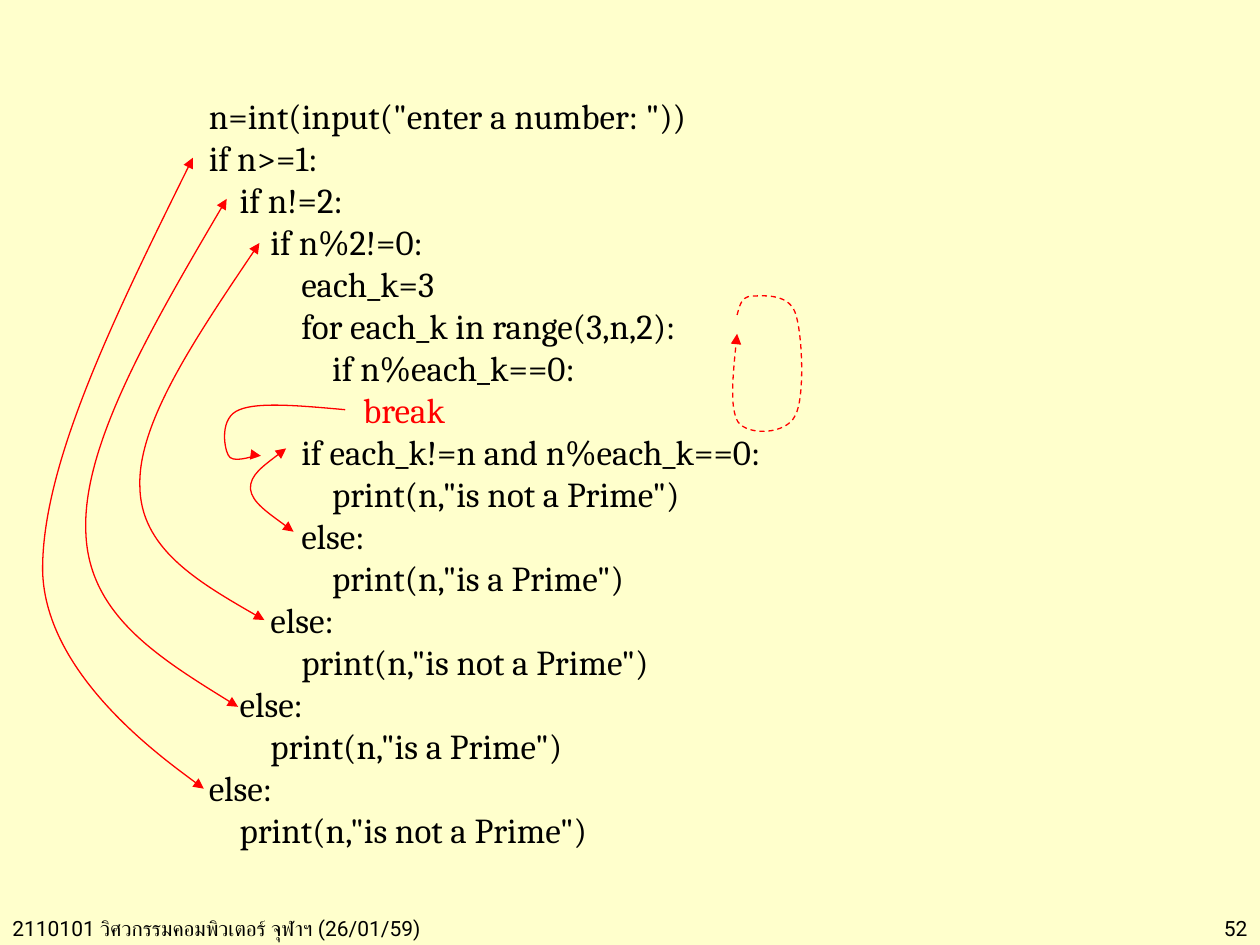
import pptx
import pptx.util
import pptx.dml.color
import pptx.enum.dml
import pptx.enum.text
import pptx.oxml
import pptx.oxml.ns
from dataclasses import dataclass

Cm, Pt = pptx.util.Cm, pptx.util.Pt
RGB = pptx.dml.color.RGBColor.from_string
ALIGN = pptx.enum.text.PP_ALIGN
qn = pptx.oxml.ns.qn


@dataclass(frozen=True)
class Theme:
    paper: str = "FFFFCC"
    ink: str = "000000"
    accent: str = "FF0000"
    code_font: str = "Cambria"
    footer_font: str = "Roboto"
    code_size: int = 20
    footer_size: int = 12
    line_width: float = 0.75


T = Theme()

# Content
CODE = '''n=int(input("enter a number: "))
if n>=1:
    if n!=2:
        if n%2!=0:
            each_k=3
            for each_k in range(3,n,2):
                if n%each_k==0:
                    break
            if each_k!=n and n%each_k==0:
                print(n,"is not a Prime")
            else:
                print(n,"is a Prime")
        else:
            print(n,"is not a Prime")
    else:
        print(n,"is a Prime")
else:
    print(n,"is not a Prime")'''.split("\n")
KEYWORD = "break"

# Footer: text, left, width, alignment
FOOTER = [
    ("2110101 วิศวกรรมคอมพิวเตอร์ จุฬาฯ (26/01/59)", 0, 9.9, ALIGN.LEFT),
    ("52", 21.9, 3.5, ALIGN.RIGHT),
]

# Bezier curves in cm: a start point, then three points per segment
IF_ELSE_PAIRS = [
    [(3.89, 3.18), (2.36, 6.27), (0.84, 9.37), (0.86, 11.51),
     (0.91, 13.64), (4.11, 15.9), (4.11, 15.9)],
    [(4.57, 4.01), (3.12, 6.48), (1.68, 8.94), (1.73, 10.67),
     (1.75, 12.37), (3.28, 13.31), (4.8, 14.25)],
    [(5.23, 4.9), (4.01, 6.71), (2.79, 8.51), (2.82, 9.78),
     (2.82, 11.05), (4.09, 11.79), (5.33, 12.5)],
    [(5.77, 9.04), (5.41, 9.32), (5.03, 9.58), (5.05, 9.86),
     (5.08, 10.13), (5.51, 10.41), (5.92, 10.72)],
]
LOOP = [(14.86, 6.35), (14.91, 6.17), (14.94, 5.99), (15.14, 5.97),
        (15.32, 5.97), (15.88, 5.89), (16.03, 6.3),
        (16.18, 6.71), (16.23, 8.03), (16.03, 8.38),
        (15.85, 8.76), (15.09, 8.79), (14.88, 8.51),
        (14.71, 8.23), (14.78, 7.49), (14.86, 6.73)]
BREAK_EXIT = [(6.96, 8.26), (6.07, 8.18), (5.21, 8.1), (4.83, 8.26),
              (4.42, 8.41), (4.52, 9.02), (4.6, 9.17),
              (4.67, 9.35), (5.16, 9.17), (5.26, 9.17),
              (5.38, 9.19), (5.31, 9.19), (5.26, 9.19)]


def add_box(s, left, top, width, height):
    tf = s.shapes.add_textbox(Cm(left), Cm(top), Cm(width), Cm(height)).text_frame
    tf.word_wrap = True
    return tf


def add_run(p, text, font, size, color):
    r = p.add_run()
    r.text = text
    r.font.name, r.font.size = font, Pt(size)
    r.font.color.rgb = RGB(color)


def add_curve(s, points, both_ends=False, dashed=False):
    points = [(Cm(x), Cm(y)) for x, y in points]
    builder = s.shapes.build_freeform(*points[0])
    builder.add_line_segments(points[1:], close=False)
    sp = builder.convert_to_shape()
    sp.shadow.inherit = False
    sp.fill.background()
    sp.line.color.rgb = RGB(T.accent)
    sp.line.width = Pt(T.line_width)
    if dashed:
        sp.line.dash_style = pptx.enum.dml.MSO_LINE.DASH

    # Turn every three straight segments into one cubic curve
    outline = sp._element.find(".//" + qn("a:path"))
    segments = outline.findall(qn("a:lnTo"))
    for i in range(0, len(segments), 3):
        curve = pptx.oxml.ns.qn("a:cubicBezTo")
        curve = outline.makeelement(curve, {})
        outline.append(curve)
        for segment in segments[i:i + 3]:
            curve.append(segment[0])
            outline.remove(segment)

    # Arrowheads
    ln = sp.line._get_or_add_ln()
    for end in ("a:headEnd", "a:tailEnd") if both_ends else ("a:tailEnd",):
        ln.append(ln.makeelement(qn(end), {"type": "triangle"}))


def main():
    prs = pptx.Presentation()
    prs.slide_width, prs.slide_height = Cm(25.4), Cm(19.05)
    s = prs.slides.add_slide(prs.slide_layouts[6])
    s.background.fill.solid()
    s.background.fill.fore_color.rgb = RGB(T.paper)

    # Footer
    for text, left, width, align in FOOTER:
        p = add_box(s, left, 18.34, width, 0.76).paragraphs[0]
        p.alignment = align
        add_run(p, text, T.footer_font, T.footer_size, T.ink)

    # Code listing
    tf = add_box(s, 3.96, 1.78, 19.05, 15.65)
    for i, line in enumerate(CODE):
        p = tf.add_paragraph() if i else tf.paragraphs[0]
        before, keyword, after = line.partition(KEYWORD)
        for text, color in ((before, T.ink), (keyword, T.accent), (after, T.ink)):
            if text:
                add_run(p, text, T.code_font, T.code_size, color)

    # Flow arrows
    for points in IF_ELSE_PAIRS:
        add_curve(s, points, both_ends=True)
    add_curve(s, LOOP, dashed=True)
    add_curve(s, BREAK_EXIT)

    prs.save("out.pptx")


if __name__ == "__main__":
    main()
